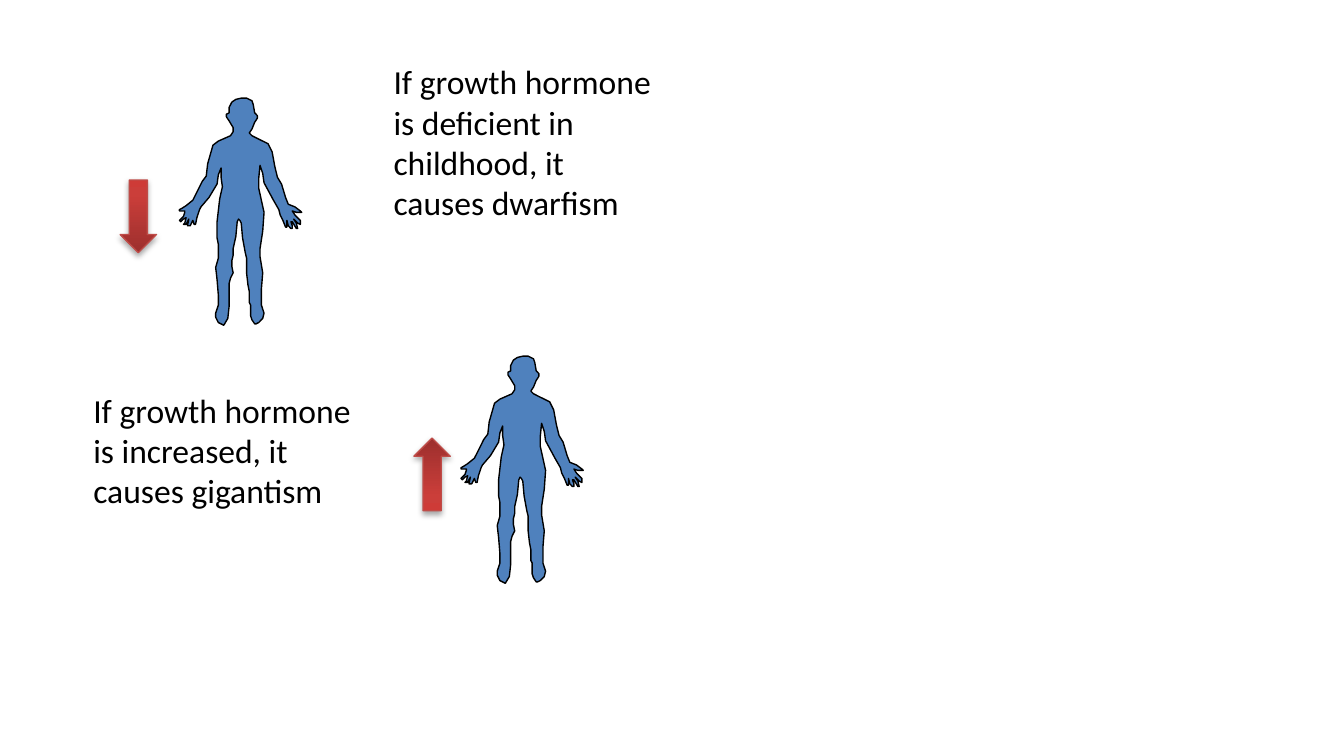
from copy import deepcopy

from lxml.etree import SubElement
from pptx import Presentation
from pptx.dml.color import RGBColor
from pptx.enum.shapes import MSO_SHAPE as Shape
from pptx.enum.text import MSO_AUTO_SIZE as Fit
from pptx.oxml.ns import qn
from pptx.util import Inches, Pt

# Grid: one cell is a tenth of an inch
COLS, ROWS = 100, 56.25
CELL = Inches(0.1)

BLACK = RGBColor(0x00, 0x00, 0x00)
BLUE = RGBColor(0x4F, 0x81, 0xBD)
EDGE = RGBColor(0xBF, 0x4C, 0x48)
REDS = [
    (0, RGBColor(0x9C, 0x2F, 0x2D)),
    (0.8, RGBColor(0xCB, 0x3E, 0x3A)),
    (1, RGBColor(0xCE, 0x3B, 0x37)),
]

# Body outline in tenths of a cell, from the neck down the left side and round
LEFT_ARM = [
    (38, 28), (29, 32), (25, 35), (21, 49), (20, 58), (17, 62), (13, 70),
    (10, 76), (5, 80), (2, 82), (0, 83), (0, 84), (2, 84), (4, 84), (4, 85),
    (3, 88), (0, 91), (1, 92), (3, 90), (5, 89), (4, 93), (3, 94), (5, 94),
    (7, 90), (6, 95), (8, 95), (10, 91), (11, 94), (12, 94), (13, 89),
    (15, 83), (16, 81), (22, 74), (28, 64), (29, 57), (31, 52),
]
LEFT_LEG = [
    (31, 59), (32, 66), (30, 75), (28, 92), (28, 104), (29, 109), (29, 119),
    (27, 126), (28, 135), (29, 147), (29, 154), (27, 160), (27, 163),
    (29, 167), (33, 169), (36, 164), (37, 155), (37, 138), (38, 134),
    (40, 130), (39, 125), (39, 121), (40, 117), (40, 112), (42, 103),
    (43, 92), (44, 90),
]
RIGHT_LEG = [
    (45, 91), (46, 93), (47, 104), (49, 115), (50, 119), (50, 130), (51, 139),
    (52, 144), (52, 152), (53, 154), (53, 162), (54, 165), (56, 168),
    (57, 168), (59, 167), (62, 164), (63, 160), (61, 154), (61, 142),
    (62, 130), (60, 118), (60, 112), (62, 99), (63, 85), (59, 67), (59, 60),
]
RIGHT_ARM = [
    (60, 50), (62, 56), (63, 63), (70, 76), (74, 83), (75, 87), (77, 91),
    (79, 96), (80, 96), (80, 91), (81, 95), (83, 97), (84, 97), (84, 95),
    (83, 92), (84, 92), (87, 97), (88, 97), (87, 93), (85, 90), (88, 93),
    (90, 94), (90, 91), (86, 87), (84, 84), (87, 85), (91, 85), (90, 84),
    (86, 81), (81, 79), (79, 74), (76, 64), (73, 59), (71, 51), (69, 40),
    (66, 34), (58, 30), (54, 28),
]
HEAD = [
    (52, 26), (54, 23), (56, 18), (58, 15), (58, 13), (56, 11), (55, 5),
    (54, 2), (50, 0), (46, 0), (42, 1), (39, 3), (37, 7), (37, 11), (35, 12),
    (35, 14), (37, 17), (40, 22), (40, 25),
]
BODY = LEFT_ARM + LEFT_LEG + RIGHT_LEG + RIGHT_ARM + HEAD


def cells(*counts):
    return [round(count * CELL) for count in counts]


def set_line(shape, color):
    shape.line.color.rgb = color
    shape.line.width = Pt(0.75)


def add_body(slide, col, row):
    pen = slide.shapes.build_freeform(*BODY[0], scale=CELL / 10)
    pen.add_line_segments(BODY[1:], close=True)
    body = pen.convert_to_shape(*cells(col, row))
    body.shadow.inherit = False
    body.fill.solid()
    body.fill.fore_color.rgb = BLUE
    set_line(body, BLACK)


def add_shadow(shape):
    shape.shadow.inherit = False
    effects = shape._element.spPr.find(qn("a:effectLst"))
    outer = SubElement(effects, qn("a:outerShdw"), blurRad=str(Pt(3.1)),
                       dist=str(Pt(1.8)), dir="5400000", rotWithShape="0")
    color = SubElement(outer, qn("a:srgbClr"), val=str(BLACK))
    SubElement(color, qn("a:alpha"), val="35000")


def add_arrow(slide, col, row, turn=0):
    arrow = slide.shapes.add_shape(Shape.DOWN_ARROW, *cells(col, row, 2.7, 5.4))
    arrow.rotation = turn
    # Three-stop gradient, dark at the tip
    arrow.fill.gradient()
    arrow.fill.gradient_angle = 90
    stops = arrow._element.spPr.find(qn("a:gradFill")).find(qn("a:gsLst"))
    stops.append(deepcopy(stops[0]))
    for stop, (place, color) in zip(arrow.fill.gradient_stops, REDS):
        stop.position = place
        stop.color.rgb = color
    set_line(arrow, EDGE)
    add_shadow(arrow)


def add_note(slide, text, col, row, height):
    frame = slide.shapes.add_textbox(*cells(col, row, 21.5, height)).text_frame
    frame.word_wrap = True
    frame.auto_size = Fit.SHAPE_TO_FIT_TEXT
    frame.text = text
    font = frame.paragraphs[0].runs[0].font
    font.name, font.size = "Calibri", Pt(18)
    font.color.rgb = BLACK


def main():
    deck = Presentation()
    deck.slide_width, deck.slide_height = cells(COLS, ROWS)
    slide = deck.slides.add_slide(deck.slide_layouts[6])

    # Figures
    add_body(slide, 34.3, 26.5)
    add_body(slide, 13.35, 7.3)

    # Hormone level: down, then up
    add_arrow(slide, 8.95, 13.4)
    add_arrow(slide, 30.8, 32.6, turn=180)

    # Notes
    add_note(slide, "If growth hormone is deficient in childhood, "
             "it causes dwarfism", 28.3, 4.06, 13.1)
    add_note(slide, "If growth hormone is increased, "
             "it causes gigantism", 5.96, 28.5, 10.1)

    deck.save("out.pptx")


if __name__ == "__main__":
    main()
